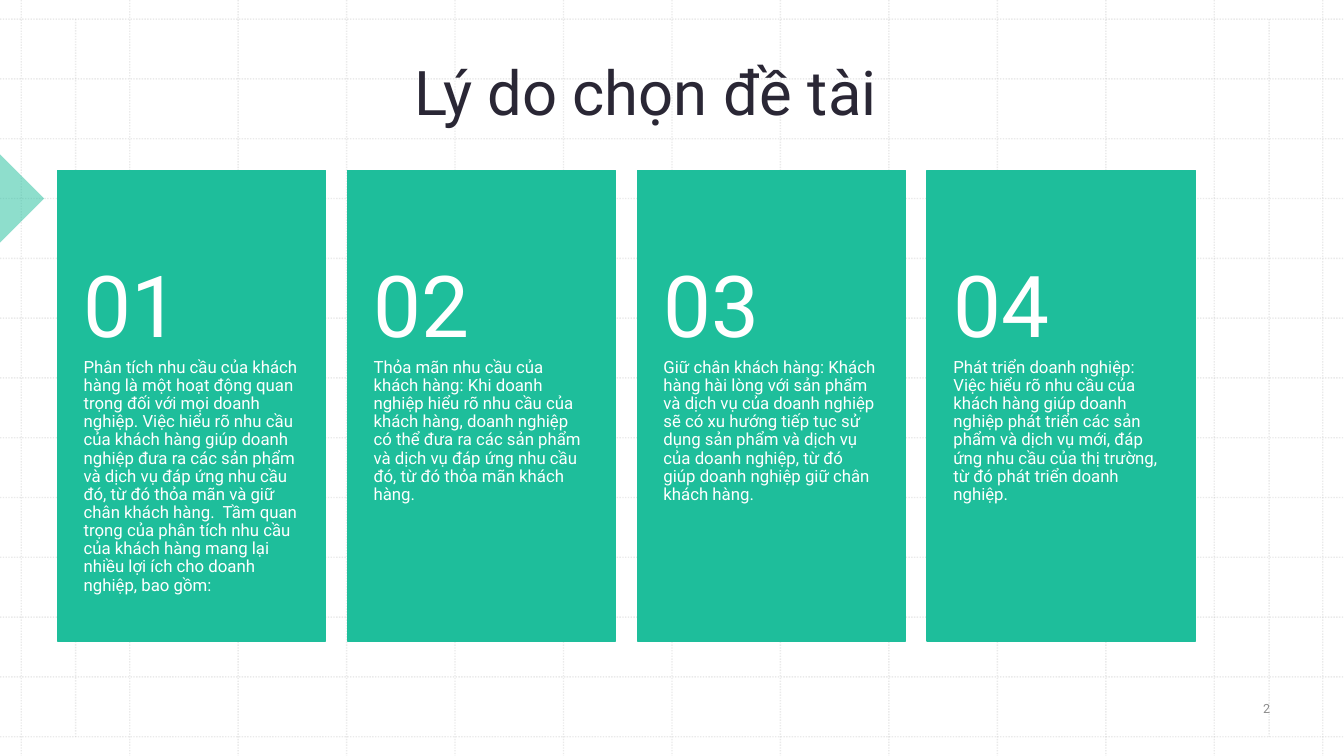
"""Builds the four-card slide on the reasons for choosing the topic."""
import dataclasses
import typing

import pptx
import pptx.dml.color
import pptx.enum.dml
import pptx.enum.shapes
import pptx.enum.text
import pptx.oxml
import pptx.oxml.ns
import pptx.util
from lxml import etree

ALIGN = pptx.enum.text.PP_ALIGN
ANCHOR = pptx.enum.text.MSO_ANCHOR
SHAPE = pptx.enum.shapes.MSO_SHAPE
qn = pptx.oxml.ns.qn

WIDTH = pptx.util.Inches(13.333)
HEIGHT = pptx.util.Inches(7.5)


@dataclasses.dataclass(frozen=True)
class Theme:
    font: str = "Roboto"
    accent: str = "1EBE9B"
    title: str = "2A2735"
    card_text: str = "FFFFFF"
    page: str = "8C8C8C"
    grid: str = "BCBCBC"
    title_size: int = 44
    number_size: int = 61
    body_size: int = 12
    page_size: int = 9


@dataclasses.dataclass(frozen=True)
class Box:
    """Position and size in percent of the slide."""
    left: float
    top: float
    width: float
    height: float

    def emu(self) -> tuple[int, int, int, int]:
        return (across(self.left), down(self.top),
                across(self.width), down(self.height))


@dataclasses.dataclass(frozen=True)
class Style:
    size: int
    color: str
    align: typing.Any = ALIGN.LEFT
    anchor: typing.Any = ANCHOR.TOP
    insets: tuple[float, float, float, float] = (0.1, 0.05, 0.1, 0.05)
    spacing: float = 1.0


@dataclasses.dataclass(frozen=True)
class Card:
    number: str
    body: str


THEME = Theme()
TITLE = Style(THEME.title_size, THEME.title, ALIGN.CENTER, ANCHOR.BOTTOM)
PAGE = Style(THEME.page_size, THEME.page, ALIGN.CENTER, ANCHOR.MIDDLE)
BODY = Style(THEME.body_size, THEME.card_text,
             insets=(0.26, 0, 0.26, 0.36), spacing=0.9)
NUMBER = Style(THEME.number_size, THEME.card_text, anchor=ANCHOR.MIDDLE,
               insets=(0.26, 0.18, 0.26, 0.18), spacing=0.9)

GRID_LINES = 13
GRID_LEFT, GRID_COLUMN = 1.58, 8.07
GRID_TOP, GRID_ROW = 2.53, 7.91
MARGIN_LINES = (5.63, 94.43)
CARD_LEFT, CARD_PITCH, CARD_WIDTH = 4.28, 21.57, 19.95

CARDS = [
    Card("01", "Phân tích nhu cầu của khách hàng là một hoạt động quan trọng đối với "
               "mọi doanh nghiệp. Việc hiểu rõ nhu cầu của khách hàng giúp doanh nghiệp "
               "đưa ra các sản phẩm và dịch vụ đáp ứng nhu cầu đó, từ đó thỏa mãn và giữ "
               "chân khách hàng.  Tầm quan trọng của phân tích nhu cầu của khách hàng "
               "mang lại nhiều lợi ích cho doanh nghiệp, bao gồm:"),
    Card("02", "Thỏa mãn nhu cầu của khách hàng: Khi doanh nghiệp hiểu rõ nhu cầu của "
               "khách hàng, doanh nghiệp có thể đưa ra các sản phẩm và dịch vụ đáp ứng "
               "nhu cầu đó, từ đó thỏa mãn khách hàng."),
    Card("03", "Giữ chân khách hàng: Khách hàng hài lòng với sản phẩm và dịch vụ của "
               "doanh nghiệp sẽ có xu hướng tiếp tục sử dụng sản phẩm và dịch vụ của "
               "doanh nghiệp, từ đó giúp doanh nghiệp giữ chân khách hàng."),
    Card("04", "Phát triển doanh nghiệp: Việc hiểu rõ nhu cầu của khách hàng giúp doanh "
               "nghiệp phát triển các sản phẩm và dịch vụ mới, đáp ứng nhu cầu của thị "
               "trường, từ đó phát triển doanh nghiệp."),
]


def across(share: float) -> int:
    return round(WIDTH * share / 100)


def down(share: float) -> int:
    return round(HEIGHT * share / 100)


def rgb(color: str) -> pptx.dml.color.RGBColor:
    return pptx.dml.color.RGBColor.from_string(color)


def set_alpha(element: typing.Any, percent: int) -> None:
    color = element.find(".//" + qn("a:srgbClr"))
    etree.SubElement(color, qn("a:alpha")).set("val", str(percent * 1000))


def add_grid_line(s: typing.Any, x1: float, y1: float, x2: float, y2: float) -> None:
    line = s.shapes.add_connector(pptx.enum.shapes.MSO_CONNECTOR.STRAIGHT,
                                  across(x1), down(y1), across(x2), down(y2))
    line.line.color.rgb = rgb(THEME.grid)
    line.line.width = pptx.util.Pt(1)
    line.line.dash_style = pptx.enum.dml.MSO_LINE.ROUND_DOT
    properties = line._element.spPr
    set_alpha(properties, 30)
    etree.SubElement(properties, qn("a:effectLst"))


def add_grid(s: typing.Any) -> None:
    for i in range(GRID_LINES):
        x = GRID_LEFT + i * GRID_COLUMN
        y = GRID_TOP + i * GRID_ROW
        add_grid_line(s, x, 0, x, 100)
        add_grid_line(s, 0, y, 100, y)
    for x in MARGIN_LINES:
        add_grid_line(s, x, GRID_TOP, x, 100 - GRID_TOP)


def add_filled(s: typing.Any, kind: typing.Any, box: Box) -> typing.Any:
    sp = s.shapes.add_shape(kind, *box.emu())
    sp.shadow.inherit = False
    sp.fill.solid()
    sp.fill.fore_color.rgb = rgb(THEME.accent)
    sp.line.fill.background()
    return sp


def add_marker(s: typing.Any) -> None:
    sp = add_filled(s, SHAPE.RIGHT_TRIANGLE, Box(-2.33, 22.13, 4.65, 8.27))
    sp.rotation = 225
    set_alpha(sp._element.spPr, 50)


def add_text(s: typing.Any, text: str, box: Box, style: Style) -> None:
    tf = s.shapes.add_textbox(*box.emu()).text_frame
    tf.word_wrap = True
    tf.vertical_anchor = style.anchor
    tf.margin_left, tf.margin_top, tf.margin_right, tf.margin_bottom = map(
        pptx.util.Inches, style.insets)
    tf.text = text
    p = tf.paragraphs[0]
    p.alignment = style.align
    p.line_spacing = style.spacing
    r = p.runs[0]
    r.font.name = THEME.font
    r.font.size = pptx.util.Pt(style.size)
    r.font.color.rgb = rgb(style.color)


def add_card(s: typing.Any, card: Card, left: float) -> None:
    sp = add_filled(s, SHAPE.RECTANGLE, Box(left, 22.53, CARD_WIDTH, 62.27))
    sp.line.color.rgb = rgb(THEME.accent)
    sp.line.width = pptx.util.Pt(1)
    add_text(s, card.body, Box(left, 47.47, CARD_WIDTH, 37.33), BODY)
    add_text(s, card.number, Box(left, 32.4, CARD_WIDTH, 17.07), NUMBER)


def main() -> None:
    prs = pptx.Presentation()
    prs.slide_width, prs.slide_height = WIDTH, HEIGHT
    s = prs.slides.add_slide(prs.slide_layouts[6])
    add_grid(s)
    add_marker(s)
    add_text(s, "Lý do chọn đề tài", Box(5.7, 3.6, 84.68, 14), TITLE)
    for i, card in enumerate(CARDS):
        add_card(s, card, CARD_LEFT + i * CARD_PITCH)
    add_text(s, "2", Box(90.23, 90.67, 8.03, 6.13), PAGE)
    prs.save("out.pptx")


if __name__ == "__main__":
    main()
